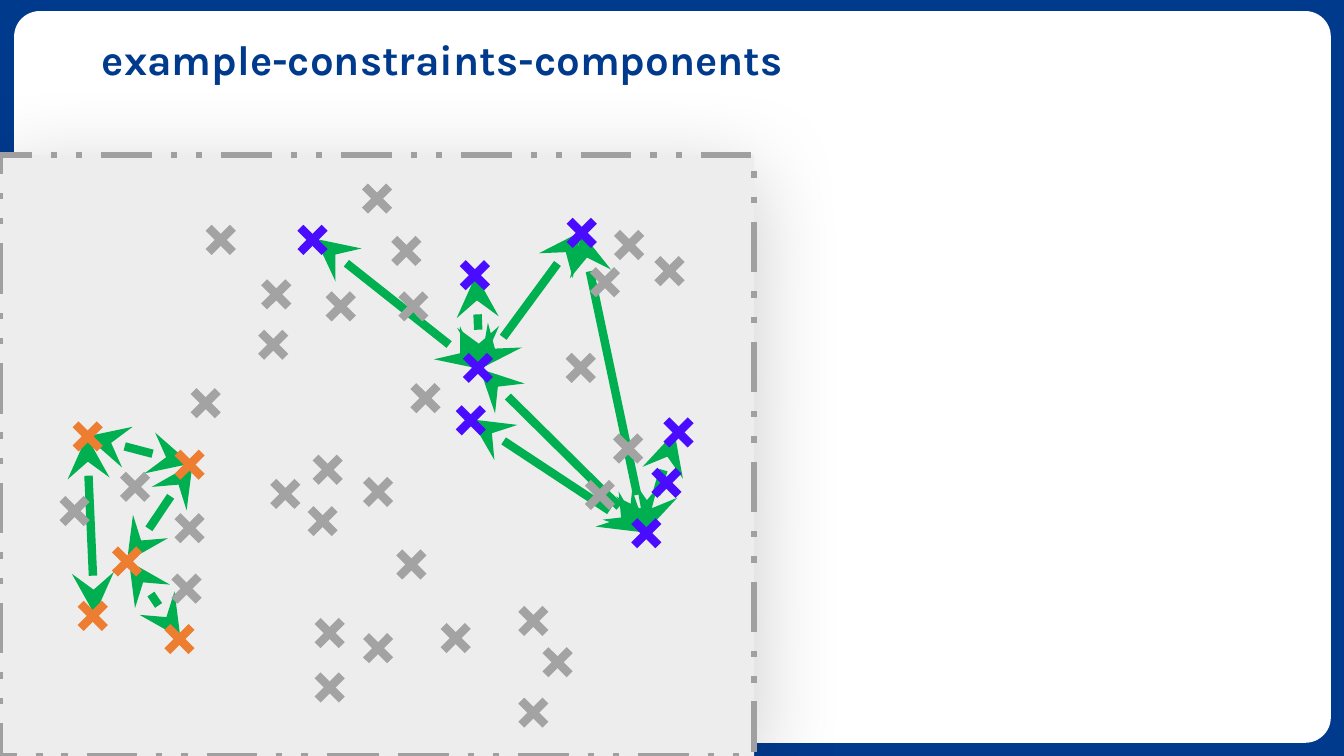
from lxml import etree
from pptx import Presentation
from pptx.dml.color import RGBColor
from pptx.enum.dml import MSO_LINE
from pptx.enum.shapes import MSO_CONNECTOR, MSO_SHAPE
from pptx.enum.text import MSO_ANCHOR, PP_ALIGN
from pptx.oxml.ns import qn
from pptx.util import Inches, Pt

STRAIGHT = MSO_CONNECTOR.STRAIGHT
RECT, ROUNDED = MSO_SHAPE.RECTANGLE, MSO_SHAPE.ROUNDED_RECTANGLE
DASH = MSO_LINE.DASH_DOT_DOT
MIDDLE, LEFT = MSO_ANCHOR.MIDDLE, PP_ALIGN.LEFT

COLORS = {
    "navy": "003A8D", "card": "FFFFFF", "panel": "EDEDED", "border": "A0A0A0",
    "link": "00B050", "noise": "A3A3A3", "violet": "4A0CFF", "orange": "ED7D31",
    "shadow": "000000",
}
TITLE = "example-constraints-components"
CARD_BOX = (0.14, 0.11, 13.06, 7.26)
PANEL_BOX = (0, 1.54, 7.48, 5.96)
TITLE_BOX = (0.91, 0.32, 12.05, 0.58)
CROSS_HALF = 0.12
STROKE = 6

LINKS = [
    ((5.77, 2.31), (6.4, 5.29)),
    ((5.76, 2.3), (4.76, 3.66)),
    ((4.76, 3.66), (3.13, 2.37)),
    ((4.76, 3.66), (4.72, 2.73)),
    ((6.69, 4.29), (6.4, 5.28)),
    ((4.76, 3.66), (6.42, 5.3)),
    ((6.37, 5.28), (4.67, 4.16)),
    ((1.91, 4.6), (1.26, 5.57)),
    ((1.79, 6.33), (1.28, 5.57)),
    ((0.94, 6.1), (0.86, 4.33)),
    ((1.89, 4.6), (0.86, 4.33)),
]
POINTS = {
    "noise": [
        (2.19, 2.38), (3.74, 1.97), (4.03, 2.49), (2.74, 2.92), (3.38, 3.04),
        (4.1, 3.04), (4.22, 3.95), (2.71, 3.42), (6.24, 2.43), (6, 2.8),
        (6.64, 2.69), (6.23, 4.45), (5.95, 4.91), (5.29, 6.16), (5.53, 6.57),
        (5.29, 7.07), (4.52, 6.33), (3.75, 6.43), (3.27, 6.82), (3.27, 6.28),
        (4.08, 5.6), (3.75, 4.88), (3.25, 4.66), (2.83, 4.9), (3.2, 5.17),
        (1.85, 5.84), (0.74, 5.07), (1.34, 4.83), (1.88, 5.24), (2.04, 4),
        (5.76, 3.65),
    ],
    "violet": [
        (3.1, 2.38), (4.71, 2.73), (4.67, 4.17), (6.73, 4.29), (6.61, 4.79),
        (5.77, 2.31), (4.74, 3.65), (6.41, 5.29),
    ],
    "orange": [(1.78, 6.34), (0.92, 6.11), (1.26, 5.57), (0.87, 4.33), (1.88, 4.61)],
}


def color(name):
    return RGBColor.from_string(COLORS[name])


def add_box(slide, preset, box, fill):
    shape = slide.shapes.add_shape(preset, *map(Inches, box))
    shape.shadow.inherit = False
    shape.fill.solid()
    shape.fill.fore_color.rgb = color(fill)
    shape.line.fill.background()
    return shape


def add_soft_shadow(shape, blur, distance, angle, opacity):
    effects = shape._element.spPr.find(qn("a:effectLst"))
    outer = etree.SubElement(
        effects, qn("a:outerShdw"), blurRad=str(Pt(blur)), dist=str(Pt(distance)),
        dir=str(angle * 60000), algn="t", rotWithShape="0")
    tint = etree.SubElement(outer, qn("a:srgbClr"), val=COLORS["shadow"])
    etree.SubElement(tint, qn("a:alpha"), val=str(opacity * 1000))


def add_line(slide, start, end, stroke, arrows=False):
    connector = slide.shapes.add_connector(STRAIGHT, *map(Inches, (*start, *end)))
    connector.line.color.rgb = color(stroke)
    connector.line.width = Pt(STROKE)
    properties = connector._element.spPr
    if arrows:
        for tag in ("a:headEnd", "a:tailEnd"):
            etree.SubElement(properties.find(qn("a:ln")), qn(tag),
                             type="stealth", w="lg", len="lg")
    etree.SubElement(properties, qn("a:effectLst"))


def add_cross(slide, x, y, stroke):
    left, right = x - CROSS_HALF, x + CROSS_HALF
    top, bottom = y - CROSS_HALF, y + CROSS_HALF
    add_line(slide, (left, top), (right, bottom), stroke)
    add_line(slide, (left, bottom), (right, top), stroke)


def write(frame, text, *, size, font, fill, bold=False, spacing=1.0):
    frame.word_wrap = True
    frame.vertical_anchor = MIDDLE
    paragraph = frame.paragraphs[0]
    paragraph.alignment = LEFT
    paragraph.line_spacing = spacing
    run = paragraph.add_run()
    run.text = text
    run.font.size = Pt(size)
    run.font.name = font
    run.font.bold = bold
    run.font.color.rgb = color(fill)


def main():
    deck = Presentation()
    deck.slide_width, deck.slide_height = Inches(13.33), Inches(7.5)
    slide = deck.slides.add_slide(deck.slide_layouts[5])
    slide.background.fill.solid()
    slide.background.fill.fore_color.rgb = color("navy")

    card = add_box(slide, ROUNDED, CARD_BOX, "card")
    card.adjustments[0] = 0.035
    panel = add_box(slide, RECT, PANEL_BOX, "panel")
    panel.line.color.rgb = color("border")
    panel.line.width = Pt(4.5)
    panel.line.dash_style = DASH
    add_soft_shadow(panel, blur=65, distance=13, angle=90, opacity=20)

    for start, end in LINKS:
        add_line(slide, start, end, "link", arrows=True)
    for group, centers in POINTS.items():
        for x, y in centers:
            add_cross(slide, x, y, group)

    title = slide.shapes.title
    title.left, title.top, title.width, title.height = map(Inches, TITLE_BOX)
    write(title.text_frame, TITLE, size=30, font="Karla", fill="navy", bold=True, spacing=0.9)
    slide.shapes._spTree.append(title._element)

    deck.save("out.pptx")


if __name__ == "__main__":
    main()
